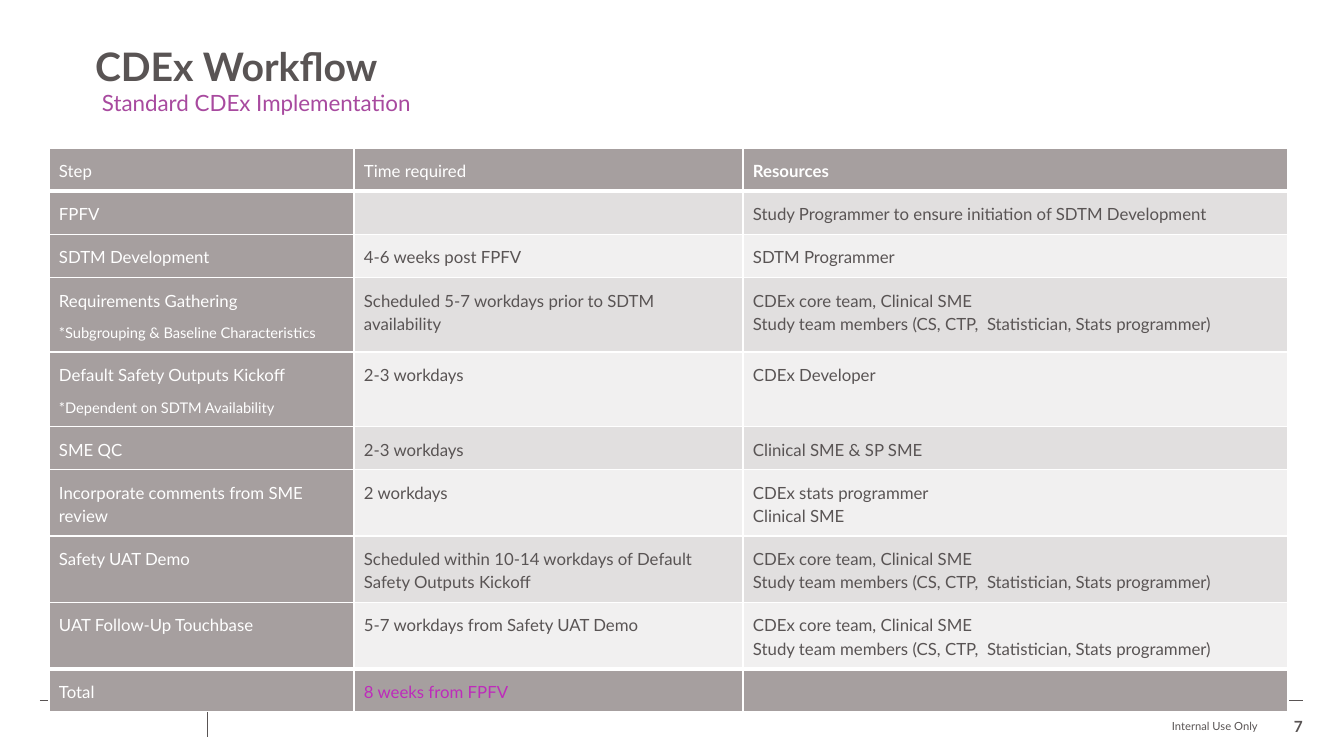
from lxml import etree
from pptx import Presentation
from pptx import util as u
from pptx.dml.color import RGBColor
from pptx.enum import shapes, text
from pptx.oxml import ns

COLORS = {
    "white": "FFFFFF",
    "ink": "595454",
    "head": "A69F9F",
    "dark": "E1DFDF",
    "light": "F1F0F0",
    "plum": "A84A9F",
    "pink": "BE2BBB",
}
TEAM = "CDEx core team, Clinical SME\nStudy team members (CS, CTP,  Statistician, Stats programmer)"
WIDTHS = [305, 389, 545]
STEPS = [
    (42, ["Step"], "Time required", "Resources"),
    (42, ["FPFV"], "", "Study Programmer to ensure initiation of SDTM Development"),
    (42, ["SDTM Development"], "4-6 weeks post FPFV", "SDTM Programmer"),
    (74, ["Requirements Gathering", "*Subgrouping & Baseline Characteristics"],
     "Scheduled 5-7 workdays prior to SDTM availability", TEAM),
    (74, ["Default Safety Outputs Kickoff", "*Dependent on SDTM Availability"],
     "2-3 workdays", "CDEx Developer"),
    (42, ["SME QC"], "2-3 workdays", "Clinical SME & SP SME"),
    (66, ["Incorporate comments from SME review"], "2 workdays",
     "CDEx stats programmer\nClinical SME"),
    (66, ["Safety UAT Demo"],
     "Scheduled within 10-14 workdays of Default Safety Outputs Kickoff", TEAM),
    (66, ["UAT Follow-Up Touchbase"], "5-7 workdays from Safety UAT Demo", TEAM),
    (42, ["Total"], "8 weeks from FPFV", ""),
]
LAST = len(STEPS) - 1


def px(count):
    return round(count * 914400 / 100.8)


def tint(name):
    return RGBColor.from_string(COLORS[name])


class Deck:
    font = "Lato"

    def __init__(self):
        self.file = Presentation()
        self.file.slide_width = px(1344)
        self.file.slide_height = px(756)
        self.slide = self.file.slides.add_slide(self.file.slide_layouts[5])

    def letter(self, para, words, size, color, bold=False):
        for index, line in enumerate(words.split("\n")):
            if index:
                para.add_line_break()
            run = para.add_run()
            run.text = line
            run.font.name = self.font
            run.font.size = u.Pt(size)
            run.font.bold = bold
            run.font.color.rgb = tint(color)

    def frame(self, shape, insets, anchor, wrap=True):
        frame = shape.text_frame
        frame.word_wrap = wrap
        frame.auto_size = text.MSO_AUTO_SIZE.NONE
        frame.vertical_anchor = anchor
        frame.margin_left = frame.margin_right = px(insets[0])
        frame.margin_top = frame.margin_bottom = px(insets[1])
        return frame.paragraphs[0]

    def title(self, box, words):
        shape = self.slide.shapes.title
        shape.left, shape.top, shape.width, shape.height = map(px, box)
        para = self.frame(shape, (0, 0), text.MSO_ANCHOR.TOP)
        para.alignment = text.PP_ALIGN.LEFT
        para.line_spacing = 0.9
        self.letter(para, words, 28, "ink", True)

    def label(self, box, words, size, color="ink", bold=False, insets=(0, 0),
              anchor=text.MSO_ANCHOR.BOTTOM, align=text.PP_ALIGN.RIGHT, wrap=True):
        shape = self.slide.shapes.add_textbox(*map(px, box))
        para = self.frame(shape, insets, anchor, wrap)
        para.alignment = align
        self.letter(para, words, size, color, bold)

    def rule(self, *ends):
        line = self.slide.shapes.add_connector(shapes.MSO_CONNECTOR.STRAIGHT, *map(px, ends))
        line.line.color.rgb = tint("ink")
        line.line.width = u.Pt(0.5)
        etree.SubElement(line._element.spPr, ns.qn("a:effectLst"))

    def edge(self, cell, row):
        props = cell._tc.get_or_add_tcPr()
        for index, side in enumerate(("lnL", "lnR", "lnT", "lnB")):
            thick = (row, side) in ((0, "lnB"), (LAST, "lnT"))
            line = etree.Element(ns.qn("a:" + side), w=str(u.Pt(3 if thick else 1)))
            fill = etree.SubElement(line, ns.qn("a:solidFill"))
            etree.SubElement(fill, ns.qn("a:srgbClr"), val=COLORS["white"])
            props.insert(index, line)

    def cell(self, cell, row, col, parts):
        plain = col > 0 and 0 < row < LAST
        cell.fill.solid()
        cell.fill.fore_color.rgb = tint(("light", "dark")[row % 2] if plain else "head")
        cell.margin_left = cell.margin_right = px(10)
        cell.margin_top = cell.margin_bottom = px(10)
        color = "ink" if plain else "pink" if (row, col) == (LAST, 1) else "white"
        for index, words in enumerate(parts):
            frame = cell.text_frame
            para = frame.add_paragraph() if index else frame.paragraphs[0]
            para.line_spacing = 1.15
            para.space_after = u.Pt(8)
            if words:
                self.letter(para, words, 10.5 if index else 12, color, (row, col) == (0, 2))
            else:
                etree.SubElement(para._p, ns.qn("a:endParaRPr"), sz="1200")
        self.edge(cell, row)

    def grid(self, left, top, widths, steps):
        high = sum(step[0] for step in steps)
        table = self.slide.shapes.add_table(
            len(steps), len(widths), px(left), px(top), px(sum(widths)), px(high)).table
        table.first_row = table.horz_banding = False
        for col, width in enumerate(widths):
            table.columns[col].width = px(width)
        for row, (height, names, time, staff) in enumerate(steps):
            table.rows[row].height = px(height)
            for col, parts in enumerate((names, [time], [staff])):
                self.cell(table.cell(row, col), row, col, parts)


def main():
    deck = Deck()
    deck.rule(40, 700, 1303, 700)
    deck.rule(207, 712, 207, 737)
    deck.label((904, 709, 354, 24), "Internal Use Only", 8)
    deck.grid(49, 148, WIDTHS, STEPS)
    deck.label((1268, 711, 35, 25), "7", 11, bold=True, wrap=False)
    deck.title((95, 48, 1249, 101), "CDEx Workflow")
    deck.label((92, 84, 675, 37), "Standard CDEx Implementation", 16, "plum",
               insets=(10, 5), anchor=text.MSO_ANCHOR.TOP, align=text.PP_ALIGN.LEFT)
    deck.file.save("out.pptx")


if __name__ == "__main__":
    main()
